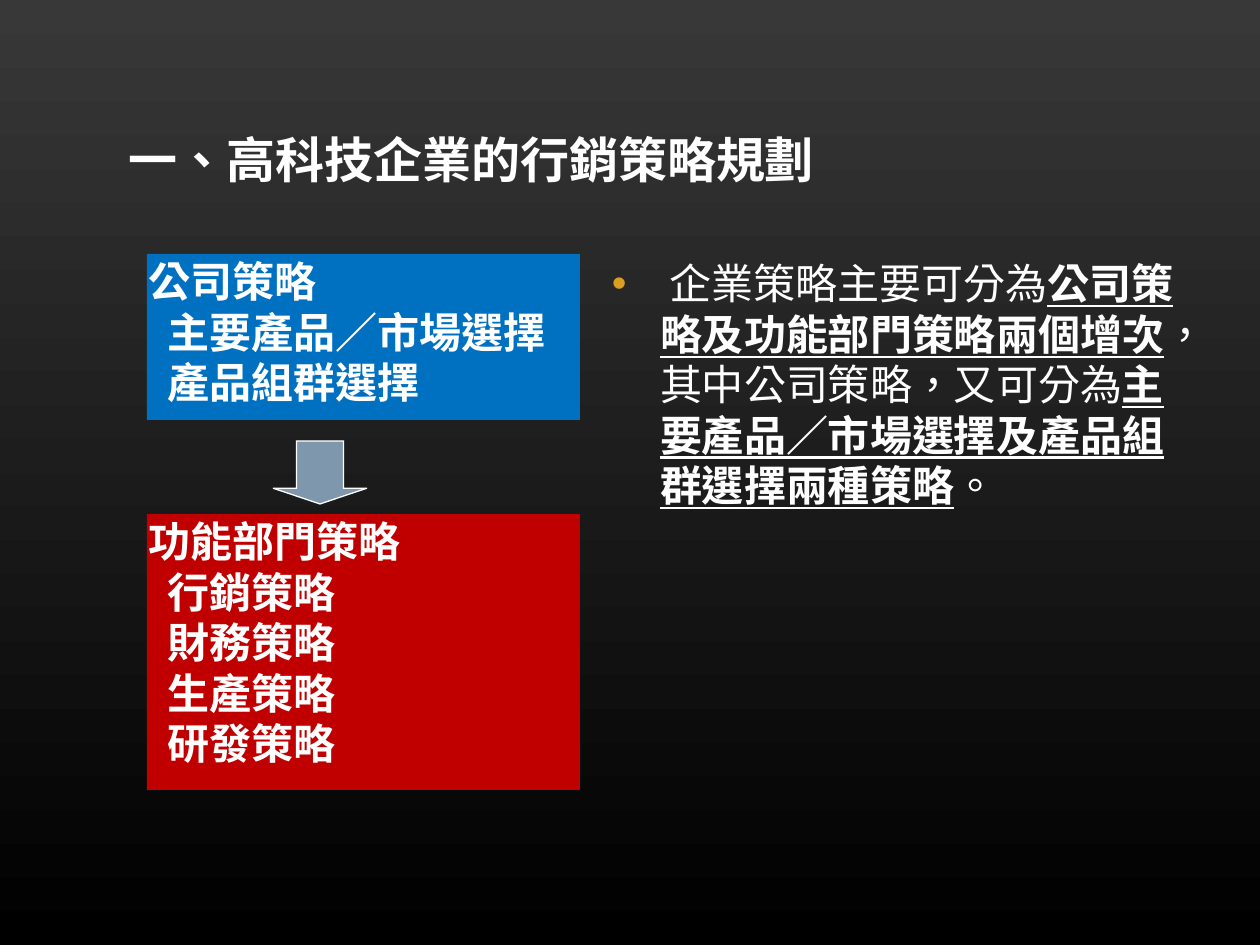
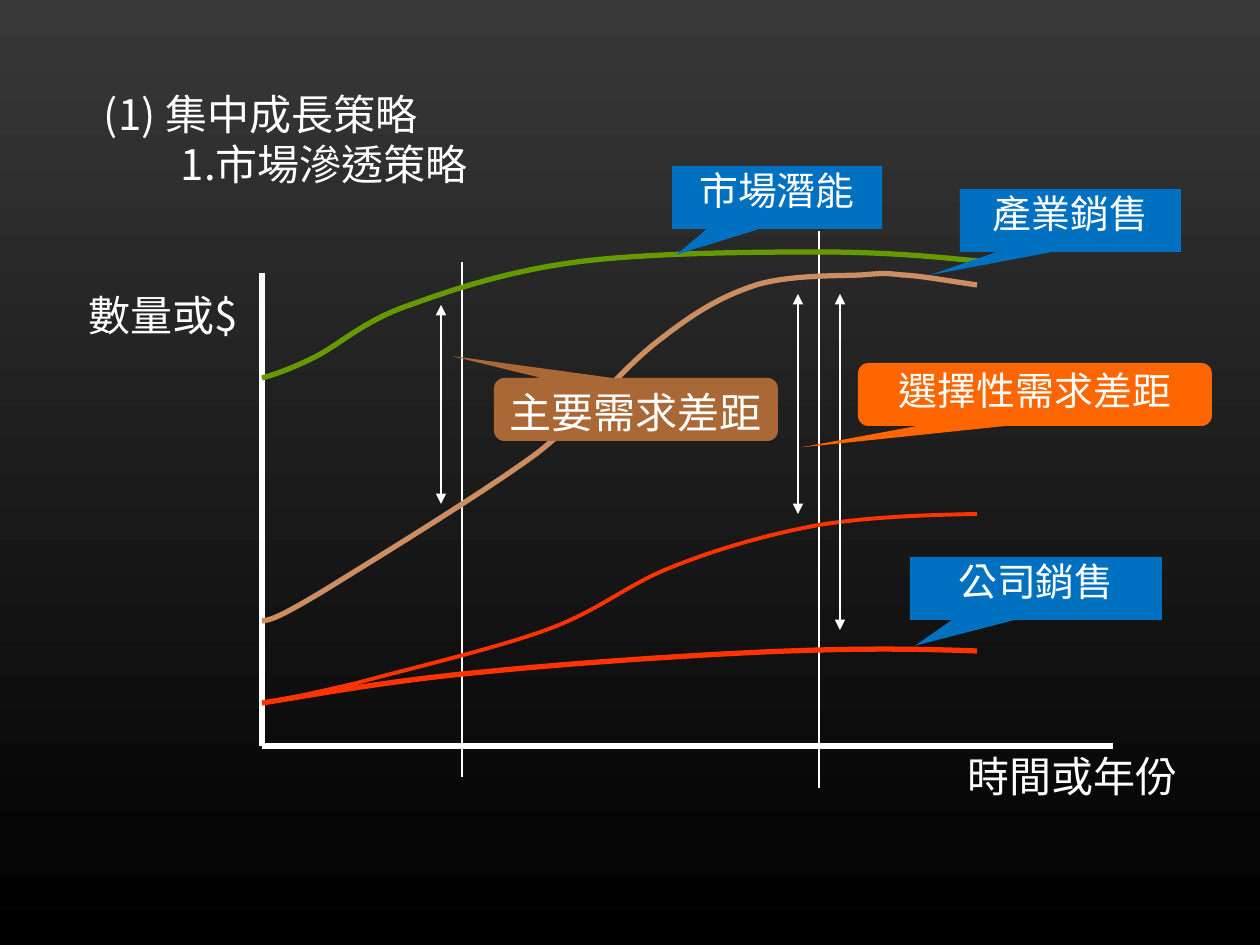
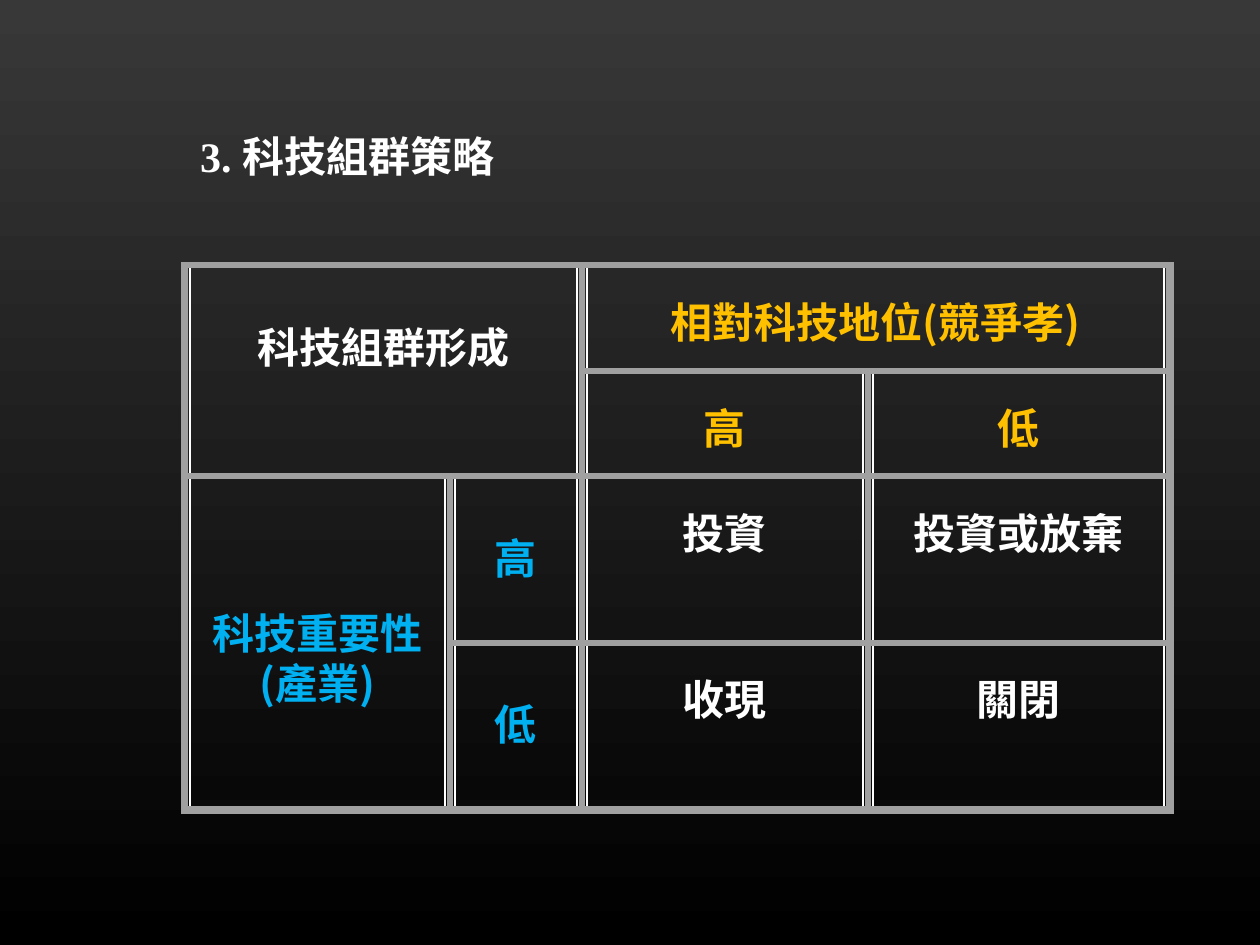
from dataclasses import dataclass

import lxml.etree
import pptx
import pptx.dml.color
import pptx.enum.dml
import pptx.enum.shapes
import pptx.enum.text
import pptx.oxml.ns
import pptx.util

Kind = pptx.enum.shapes.MSO_SHAPE
Align = pptx.enum.text.PP_ALIGN
Anchor = pptx.enum.text.MSO_ANCHOR
qn = pptx.oxml.ns.qn

SCALE = 914400 / 126
SANS, SERIF = "Noto Sans CJK SC", "Times New Roman"
WHITE, BLUE, RED, GREY = "FFFFFF", "0070C0", "C00000", "A0A0A0"
AMBER, SKY = "FFC000", "00B0F0"
THIN, THICK = 0.74, 3


@dataclass
class Area:
    left: int
    top: int
    width: int
    height: int


@dataclass
class Style:
    size: float = 24
    font: str = SANS
    color: str = WHITE
    bold: bool = False
    align: Align = Align.LEFT
    spacing: float | None = None


@dataclass
class Line:
    text: str
    indent: int = 0


@dataclass
class Callout:
    area: Area
    text: str
    fill: str
    tip: tuple[float, float]
    rounded: bool = False
    size: float = 22.2
    spacing: float | None = 0.9


@dataclass
class Curve:
    points: list[tuple[int, int]]  # start, then three points per Bezier segment
    color: str
    weight: float = THICK


@dataclass
class Cell:
    column: int
    row: int
    columns: int
    rows: int
    lines: list[str]
    color: str
    drop: int  # height above the text, in half lines


def px(length: float) -> pptx.util.Emu:
    return pptx.util.Emu(round(length * SCALE))


def rgb(color: str) -> pptx.dml.color.RGBColor:
    return pptx.dml.color.RGBColor.from_string(color)


def set_font(font, style: Style) -> None:
    font.size = pptx.util.Pt(style.size)
    font.name = style.font
    font.bold = style.bold
    font.color.rgb = rgb(style.color)


def add_span(para, text: str):
    """Add a run of Traditional Chinese whose characters use the sans face."""
    span = para.add_run()
    span.text = text
    properties = span._r.get_or_add_rPr()
    properties.set("lang", "zh-TW")
    lxml.etree.SubElement(properties, qn("a:ea")).set("typeface", SANS)
    return span


def write(frame, lines: list[Line], style: Style, inset: tuple[float, float] = (13, 6),
          top: float | None = None, anchor: Anchor = Anchor.TOP) -> None:
    frame.word_wrap = True
    frame.vertical_anchor = anchor
    frame.margin_left = frame.margin_right = px(inset[0])
    frame.margin_bottom = px(inset[1])
    frame.margin_top = px(inset[1] if top is None else top)
    for index, line in enumerate(lines):
        para = frame.paragraphs[0] if index == 0 else frame.add_paragraph()
        para.alignment = style.align
        if style.spacing:
            para.line_spacing = style.spacing
        if line.indent:
            para._p.get_or_add_pPr().set("marL", str(px(line.indent)))
        set_font(para.font, style)
        # Run size and colour follow the paragraph
        set_font(add_span(para, line.text).font, style)


def add_text(page, area: Area, lines: list[Line], style: Style,
             anchor: Anchor = Anchor.TOP, wrap: bool = True) -> None:
    box = page.shapes.add_textbox(*map(px, (area.left, area.top, area.width, area.height)))
    write(box.text_frame, lines, style, anchor=anchor)
    box.text_frame.word_wrap = wrap


def add_shape(page, kind: Kind, area: Area, fill: str | None = None,
              line: str | None = None, weight: float = THIN):
    shape = page.shapes.add_shape(
        kind, *map(px, (area.left, area.top, area.width, area.height)))
    paint(shape, fill, line, weight)
    return shape


def paint(shape, fill: str | None, line: str | None, weight: float) -> None:
    shape.shadow.inherit = False
    if fill:
        shape.fill.solid()
        shape.fill.fore_color.rgb = rgb(fill)
    else:
        shape.fill.background()
    if line:
        shape.line.color.rgb = rgb(line)
        shape.line.width = pptx.util.Pt(weight)
        # Square corners
        lxml.etree.SubElement(shape.line._get_or_add_ln(), qn("a:miter")).set("lim", "800000")
    else:
        shape.line.fill.background()


def add_line(page, start: tuple[int, int], end: tuple[int, int],
             weight: float = THIN, arrows: bool = False) -> None:
    line = page.shapes.add_connector(
        pptx.enum.shapes.MSO_CONNECTOR.STRAIGHT, *map(px, (*start, *end)))
    line.line.color.rgb = rgb(WHITE)
    line.line.width = pptx.util.Pt(weight)
    if arrows:
        for end_tag in ("a:headEnd", "a:tailEnd"):
            lxml.etree.SubElement(line.line._get_or_add_ln(), qn(end_tag)).set("type", "triangle")
    lxml.etree.SubElement(line._element.spPr, qn("a:effectLst"))


def add_curve(page, curve: Curve) -> None:
    builder = page.shapes.build_freeform(*curve.points[0], scale=SCALE)
    builder.add_line_segments(curve.points[1:], close=False)
    shape = builder.convert_to_shape()
    paint(shape, None, curve.color, curve.weight)
    # Turn every three straight segments into one Bezier segment
    outline = shape._element.spPr.find(".//" + qn("a:path"))
    segments = outline.findall(qn("a:lnTo"))
    for first in range(0, len(segments), 3):
        bezier = lxml.etree.SubElement(outline, qn("a:cubicBezTo"))
        for segment in segments[first:first + 3]:
            bezier.append(segment[0])
            outline.remove(segment)


def add_callout(page, callout: Callout) -> None:
    kind = Kind.ROUNDED_RECTANGULAR_CALLOUT if callout.rounded else Kind.RECTANGULAR_CALLOUT
    shape = add_shape(page, kind, callout.area, callout.fill)
    shape.adjustments[0], shape.adjustments[1] = callout.tip
    style = Style(callout.size, SERIF, align=Align.CENTER, spacing=callout.spacing)
    # Narrow side insets keep each label on one line
    write(shape.text_frame, [Line(callout.text)], style, inset=(4, 6))


def add_strategy_page(deck) -> None:
    page = deck.slides.add_slide(deck.slide_layouts[6])
    add_text(page, Area(116, 73, 1071, 121), [Line("一、高科技企業的行銷策略規劃")],
             Style(28, bold=True), Anchor.BOTTOM)

    # Bulleted explanation with underlined key terms
    box = page.shapes.add_textbox(*map(px, (599, 252, 596, 567)))
    write(box.text_frame, [], Style())
    para = box.text_frame.paragraphs[0]
    para.space_before = para.space_after = pptx.util.Pt(6)
    for text, key in [
        (" 企業策略主要可分為", False),
        ("公司策略及功能部門策略兩個增次", True),
        ("\uff0c其中公司策略\uff0c又可分為", False),
        ("主要產品\uff0f市場選擇及產品組群選擇兩種策略", True),
        ("。", False),
    ]:
        span = add_span(para, text)
        set_font(span.font, Style(bold=key))
        span.font.underline = key
    properties = para._p.get_or_add_pPr()
    properties.set("marL", str(px(48)))
    properties.set("indent", str(-px(48)))
    bullet_color = lxml.etree.SubElement(properties, qn("a:buClr"))
    lxml.etree.SubElement(bullet_color, qn("a:srgbClr")).set("val", "DC9E1F")
    lxml.etree.SubElement(properties, qn("a:buFont")).set("typeface", "Arial")
    lxml.etree.SubElement(properties, qn("a:buChar")).set("char", "•")

    # Two strategy levels joined by an arrow
    for top, height, fill, heading, items in [
        (254, 166, BLUE, "公司策略", ["主要產品\uff0f市場選擇", "產品組群選擇"]),
        (514, 276, RED, "功能部門策略", ["行銷策略", "財務策略", "生產策略", "研發策略"]),
    ]:
        panel = add_shape(page, Kind.RECTANGLE, Area(147, top, 433, height), fill)
        lines = [Line(heading)] + [Line(item, indent=19) for item in items]
        write(panel.text_frame, lines, Style(bold=True), inset=(2, 2))
    arrow = add_shape(page, Kind.DOWN_ARROW, Area(273, 441, 94, 63), "7E97AD", WHITE)
    arrow.adjustments[0], arrow.adjustments[1] = 0.5, 0.25


CURVES = [
    Curve([(262, 378), (276, 374), (291, 369), (315, 357), (339, 345), (365, 320), (410, 305),
           (454, 289), (509, 271), (577, 262), (646, 253), (751, 252), (819, 252),
           (887, 252), (937, 257), (987, 262)], "669900"),
    Curve([(262, 621), (271, 620), (280, 617), (325, 590), (370, 562), (480, 495), (536, 454),
           (591, 411), (625, 365), (662, 338), (698, 310), (723, 296), (756, 285),
           (789, 275), (837, 276), (861, 275), (886, 273), (883, 273), (903, 275),
           (922, 276), (949, 281), (977, 285)], "CC8E60"),
    Curve([(262, 703), (286, 699), (310, 694), (357, 683), (404, 670), (494, 649), (546, 630),
           (599, 611), (626, 585), (672, 567), (717, 549), (769, 534), (819, 525),
           (869, 517), (924, 515), (977, 514)], "FF3300", 2.24),
    Curve([(262, 703), (329, 692), (396, 680), (483, 672), (571, 663), (706, 654), (788, 651),
           (869, 648), (924, 649), (977, 651)], "FF3300"),
]

CALLOUTS = [
    Callout(Area(494, 378, 284, 63), "主要需求差距", "AA6837", (-0.65, -0.85), True, 24, None),
    Callout(Area(858, 363, 354, 63), "選擇性需求差距", "FF6600", (-0.66, 0.84), True),
    Callout(Area(672, 166, 210, 63), "市場潛能", BLUE, (-0.48, 0.91)),
    Callout(Area(960, 189, 221, 63), "產業銷售", BLUE, (-0.64, 0.87)),
    Callout(Area(910, 557, 252, 63), "公司銷售", BLUE, (-0.48, 0.91)),
]


def add_growth_page(deck) -> None:
    page = deck.slides.add_slide(deck.slide_layouts[6])
    add_text(page, Area(84, 38, 1092, 157),
             [Line("(1) 集中成長策略", indent=7), Line("1.市場滲透策略", indent=84)],
             Style(), Anchor.BOTTOM)

    # Axes and time markers
    origin = (262, 746)
    add_line(page, (262, 273), origin, THICK)
    add_line(page, origin, (1113, 746), THICK)
    add_line(page, (462, 262), (462, 777))
    add_line(page, (819, 231), (819, 788))

    for curve in CURVES:
        add_curve(page, curve)

    # Demand gaps
    for x, top, bottom in [(441, 305, 504), (798, 294, 514), (840, 294, 630)]:
        add_line(page, (x, top), (x, bottom), arrows=True)
    for callout in CALLOUTS:
        add_callout(page, callout)

    # Axis labels
    add_text(page, Area(76, 284, 186, 63), [Line("數量或$")], Style(), wrap=False)
    add_text(page, Area(955, 745, 239, 63), [Line("時間或年份")], Style(), wrap=False)


COLUMN_EDGES = [185, 450, 582, 868, 1169]
ROW_EDGES = [265, 371, 476, 643, 809]
HALF_LINE = 25
CELLS = [
    Cell(0, 0, 2, 2, ["科技組群形成"], WHITE, 2),
    Cell(2, 0, 2, 1, ["相對科技地位(競爭孝)"], AMBER, 1),
    Cell(2, 1, 1, 1, ["高"], AMBER, 1),
    Cell(3, 1, 1, 1, ["低"], AMBER, 1),
    Cell(0, 2, 1, 2, ["科技重要性", "(產業)"], SKY, 5),
    Cell(1, 2, 1, 1, ["高"], SKY, 2),
    Cell(2, 2, 1, 1, ["投資"], WHITE, 1),
    Cell(3, 2, 1, 1, ["投資或放棄"], WHITE, 1),
    Cell(1, 3, 1, 1, ["低"], SKY, 2),
    Cell(2, 3, 1, 1, ["收現"], WHITE, 1),
    Cell(3, 3, 1, 1, ["關閉"], WHITE, 1),
]


def add_matrix_page(deck) -> None:
    page = deck.slides.add_slide(deck.slide_layouts[6])
    add_text(page, Area(104, 125, 1156, 63), [Line("3. 科技組群策略", indent=83)],
             Style(font=SERIF, bold=True))

    # Each cell has a thin white box inside a thick grey frame
    for cell in CELLS:
        left, top = COLUMN_EDGES[cell.column], ROW_EDGES[cell.row]
        width = COLUMN_EDGES[cell.column + cell.columns] - left
        height = ROW_EDGES[cell.row + cell.rows] - top
        inner = add_shape(page, Kind.RECTANGLE, Area(left + 5, top, width - 10, height),
                          line=WHITE)
        write(inner.text_frame, [Line(text) for text in cell.lines],
              Style(color=cell.color, bold=True, align=Align.CENTER),
              top=6 + cell.drop * HALF_LINE)
        add_shape(page, Kind.RECTANGLE, Area(left, top, width, height),
                  line=GREY, weight=THICK)
    add_shape(page, Kind.RECTANGLE, Area(184, 265, 987, 546), line=GREY, weight=THICK)


def main() -> None:
    deck = pptx.Presentation()
    deck.slide_width, deck.slide_height = px(1260), px(945)

    # Shared background: dark grey fading down to black
    fill = deck.slide_master.background.fill
    fill.gradient()
    fill.gradient_angle = 270
    for stop, color in zip(fill.gradient_stops, ("383838", "000000")):
        stop.color.rgb = rgb(color)

    add_strategy_page(deck)
    add_growth_page(deck)
    add_matrix_page(deck)
    deck.save("out.pptx")


main()
